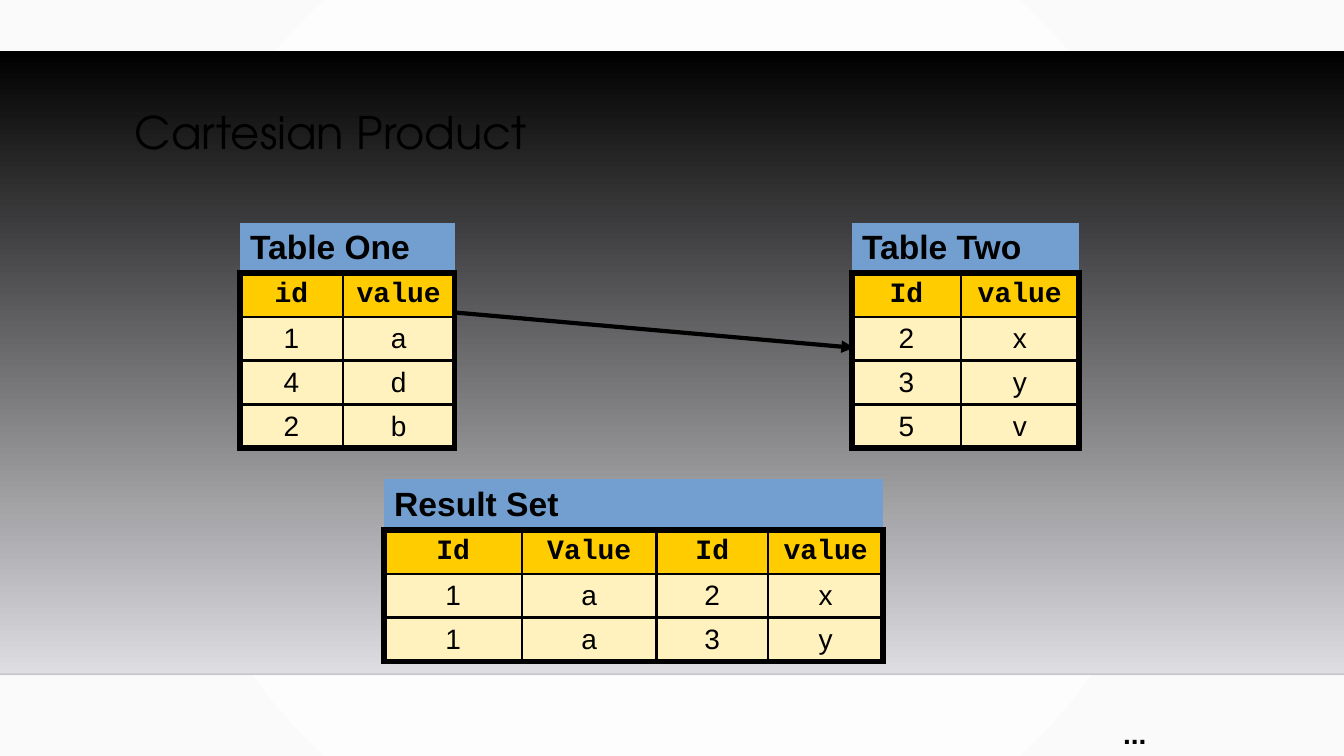
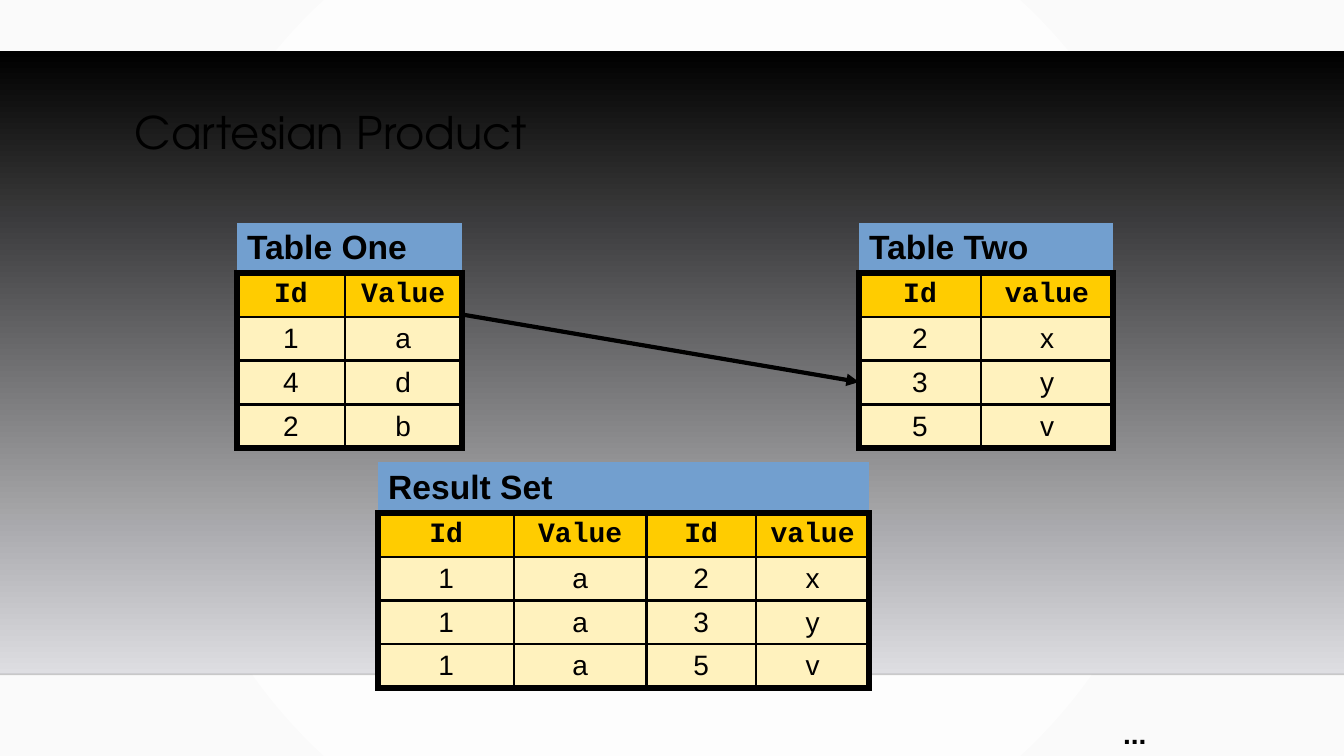
from lxml import etree
from pptx import Presentation
from pptx.dml.color import RGBColor
from pptx.enum import shapes, text
from pptx.oxml import ns
from pptx.util import Inches, Pt

BLACK = RGBColor(0x00, 0x00, 0x00)
WHITE = RGBColor(0xFF, 0xFF, 0xFF)
PAPER = RGBColor(0xFA, 0xFA, 0xFA)
SILVER = RGBColor(0xDE, 0xDE, 0xE2)
BLUE = RGBColor(0x72, 0x9F, 0xCF)
GOLD = RGBColor(0xFF, 0xCC, 0x00)
CREAM = RGBColor(0xFF, 0xF2, 0xBE)
THICK, THIN = 4.48, 1.98
WIDTH, HEIGHT = 13.33, 7.5
BAND_TOP, BAND_BOTTOM = 0.51, 6.69


def sub(parent, tag, **attrs):
    return etree.SubElement(parent, ns.qn(tag), attrs)


class Deck:
    title_font, body_font, code_font = "TeX Gyre Adventor", "Arial", "Courier New"

    def __init__(self):
        self.prs = Presentation()
        self.prs.slide_width, self.prs.slide_height = Inches(WIDTH), Inches(HEIGHT)
        self.s = None

    def slide(self, title):
        self.s = self.prs.slides.add_slide(self.prs.slide_layouts[6])
        self.background()
        self.band()
        self.line((0, BAND_BOTTOM), (WIDTH, BAND_BOTTOM), 1, alpha=20)
        p = self.text(title, (1.24, 1.05, 10.5, 1.16), self.title_font, 32)
        p.line_spacing = 0.9

    def gradient(self, fill, first, last):
        fill.gradient()
        fill.gradient_angle = 270
        for stop, color, position in zip(fill.gradient_stops, (first, last), (0, 1)):
            stop.color.rgb, stop.position = color, position

    def background(self):
        self.gradient(self.s.background.fill, WHITE, PAPER)
        lin = next(self.s.element.iter(ns.qn("a:lin")))
        grad = lin.getparent()
        grad.remove(lin)
        circle = sub(grad, "a:path", path="circle")
        sub(circle, "a:fillToRect", l="50000", t="50000", r="50000", b="50000")

    def band(self):
        sp = self.s.shapes.add_shape(
            shapes.MSO_SHAPE.RECTANGLE, 0, Inches(BAND_TOP),
            Inches(WIDTH), Inches(BAND_BOTTOM - BAND_TOP))
        sp.shadow.inherit = False
        sp.line.fill.background()
        self.gradient(sp.fill, BLACK, SILVER)

    def line(self, start, end, width, alpha=None, arrow=False):
        ends = [Inches(v) for v in (*start, *end)]
        sp = self.s.shapes.add_connector(shapes.MSO_CONNECTOR.STRAIGHT, *ends)
        sp.line.color.rgb, sp.line.width = BLACK, Pt(width)
        props = sp._element.spPr
        if alpha:
            sub(next(props.iter(ns.qn("a:srgbClr"))), "a:alpha", val=str(alpha * 1000))
        if arrow:
            sub(sp.line._get_or_add_ln(), "a:tailEnd", type="triangle")
        sub(props, "a:effectLst")

    def style(self, p, font, size, bold=False):
        p.font.name, p.font.size, p.font.bold = font, Pt(size), bold
        p.font.color.rgb = BLACK

    def text(self, words, box, font, size, bold=False, wrap=True):
        tf = self.s.shapes.add_textbox(*map(Inches, box)).text_frame
        tf.word_wrap = wrap
        p = tf.paragraphs[0]
        p.text = words
        self.style(p, font, size, bold)
        return p

    def cell(self, cell, fill, borders):
        props = cell._tc.get_or_add_tcPr()
        for side, width in zip("LRTB", borders):
            ln = sub(props, "a:ln" + side, w=str(Pt(width)))
            if width:
                sub(sub(ln, "a:solidFill"), "a:srgbClr", val=str(BLACK))
            else:
                sub(ln, "a:noFill")
        cell.fill.solid()
        cell.fill.fore_color.rgb = fill
        cell.vertical_anchor = text.MSO_ANCHOR.MIDDLE

    def table(self, heading, left, top, widths, heights, rows):
        last_row, last_col = len(rows), len(widths) - 1
        row_heights = [heights[0]] + [heights[1]] * last_row
        frame = self.s.shapes.add_table(
            last_row + 1, last_col + 1, Inches(left), Inches(top),
            Inches(sum(widths)), Inches(sum(row_heights)))
        tbl = frame.table
        tbl.first_row = tbl.horz_banding = False
        for column, width in zip(tbl.columns, widths):
            column.width = Inches(width)
        for row, height in zip(tbl.rows, row_heights):
            row.height = Inches(height)
        tbl.cell(0, 0).merge(tbl.cell(0, last_col))
        for c in range(last_col + 1):
            self.cell(tbl.cell(0, c), BLUE, (0, 0, 0, THICK))
        p = tbl.cell(0, 0).text_frame.paragraphs[0]
        p.text, p.space_before = heading, Pt(6)
        self.style(p, self.body_font, 24, True)
        for r, values in enumerate(rows, 1):
            header = r == 1
            for c, value in enumerate(values):
                edges = (c == 0, c == last_col, header, r == last_row)
                cell = tbl.cell(r, c)
                self.cell(cell, GOLD if header else CREAM,
                          [THICK if edge else THIN for edge in edges])
                p = cell.text_frame.paragraphs[0]
                p.text, p.space_before = value, Pt(5)
                p.alignment = text.PP_ALIGN.CENTER
                self.style(p, self.code_font if header else self.body_font, 20, header)


SOURCE_ROWS, RESULT_ROWS = (0.47, 0.41), (0.51, 0.43)
ONE = [("1", "a"), ("4", "d"), ("2", "b")]
TWO = [("Id", "value"), ("2", "x"), ("3", "y"), ("5", "v")]
STEPS = [
    dict(one=(2.38, (1.02, 1.11)), names=("id", "value"), two=(8.45, (1.08, 1.17)),
         result=(3.81, 4.75, (1.37, 1.33, 1.11, 1.14)), matches=2,
         arrow=((4.51, 3.1), (8.47, 3.45))),
    dict(one=(2.35, (1.07, 1.16)), names=("Id", "Value"), two=(8.52, (1.21, 1.31)),
         result=(3.75, 4.58, (1.35, 1.31, 1.09, 1.12)), matches=3,
         arrow=((4.58, 3.12), (8.52, 3.79))),
]


def main():
    deck = Deck()
    for step in STEPS:
        deck.slide("Cartesian Product")
        left, widths = step["one"]
        deck.table("Table One", left, 2.21, widths, SOURCE_ROWS, [step["names"]] + ONE)
        left, widths = step["two"]
        deck.table("Table Two", left, 2.21, widths, SOURCE_ROWS, TWO)
        deck.text("...", (11.04, 7.06, 0.43, 0.44), deck.body_font, 20, True, wrap=False)
        product = [ONE[0] + row for row in TWO[1:step["matches"] + 1]]
        left, top, widths = step["result"]
        deck.table("Result Set", left, top, widths, RESULT_ROWS,
                   [("Id", "Value") + TWO[0]] + product)
        deck.line(*step["arrow"], 3, arrow=True)
    deck.prs.save("out.pptx")


if __name__ == "__main__":
    main()
